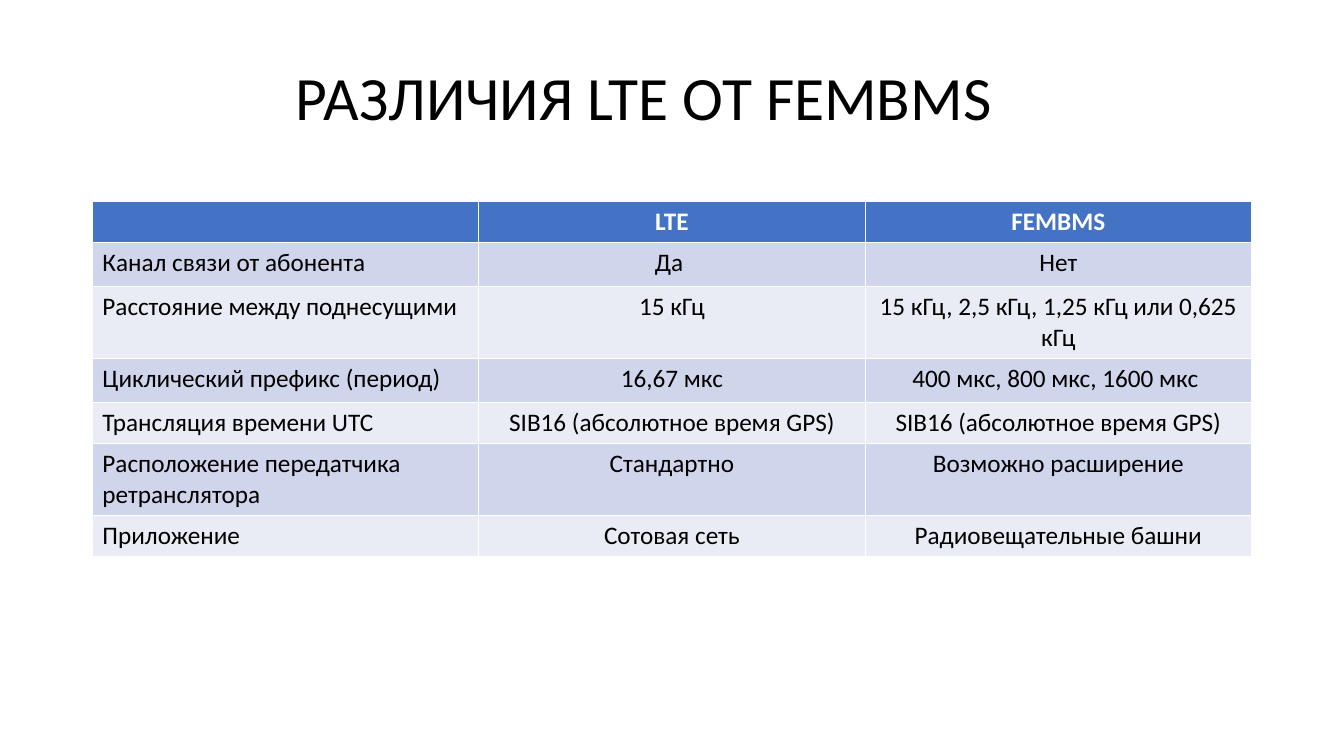
from pptx import Presentation
from pptx.dml.color import RGBColor
from pptx.enum import text
from pptx.util import Pt

TITLE = "РАЗЛИЧИЯ LTE ОТ FEMBMS"
ROWS = [
    ("", "LTE", "FEMBMS"),
    ("Канал связи от абонента", "Да ", "Нет"),
    ("Расстояние между поднесущими", "15 кГц",
     "15 кГц, 2,5 кГц, 1,25 кГц или 0,625 кГц"),
    ("Циклический префикс (период)", "16,67 мкс", "400 мкс, 800 мкс, 1600 мкс "),
    ("Трансляция времени UTC", "SIB16 (абсолютное время GPS)",
     "SIB16 (абсолютное время GPS)"),
    ("Расположение передатчика ретранслятора", "Стандартно",
     "Возможно расширение"),
    ("Приложение", "Сотовая сеть", "Радиовещательные башни"),
]
HEIGHTS = [29.2, 31.7, 29.2, 31.7, 29.2, 29.2, 29.2]
WIDTH = 828

FONT = "Calibri"
BLACK = RGBColor(0x00, 0x00, 0x00)
WHITE = RGBColor(0xFF, 0xFF, 0xFF)
BLUE = RGBColor(0x44, 0x72, 0xC4)
BANDS = (RGBColor(0xE9, 0xEB, 0xF5), RGBColor(0xCF, 0xD5, 0xEA))
LEFT, CENTER = text.PP_ALIGN.LEFT, text.PP_ALIGN.CENTER


def write(frame, words, size=18, color=BLACK, bold=False, align=CENTER):
    para = frame.paragraphs[0]
    para.alignment = align
    para.font.size = Pt(size)
    if not words:
        return
    run = para.add_run()
    run.text = words
    font = run.font
    font.name, font.size, font.bold = FONT, Pt(size), bold
    font.color.rgb = color


def add_title(slide):
    title = slide.shapes.title
    title.left, title.top = Pt(46), Pt(19.5)
    title.width, title.height = Pt(WIDTH), Pt(104.4)
    frame = title.text_frame
    frame.word_wrap = True
    frame.vertical_anchor = text.MSO_ANCHOR.MIDDLE
    write(frame, TITLE, size=44)
    frame.paragraphs[0].line_spacing = 0.9


def add_grid(slide):
    count = len(ROWS[0])
    grid = slide.shapes.add_table(len(ROWS), count, Pt(66), Pt(144),
                                  Pt(WIDTH), Pt(sum(HEIGHTS))).table
    for col in grid.columns:
        col.width = Pt(WIDTH / count)
    for r, (row, high) in enumerate(zip(ROWS, HEIGHTS)):
        grid.rows[r].height = Pt(high)
        head = r == 0
        for c, words in enumerate(row):
            cell = grid.cell(r, c)
            cell.fill.solid()
            cell.fill.fore_color.rgb = BLUE if head else BANDS[r % 2]
            write(cell.text_frame, words, color=WHITE if head else BLACK,
                  bold=head, align=CENTER if c or head else LEFT)


def main():
    deck = Presentation()
    deck.slide_width, deck.slide_height = Pt(960), Pt(540)
    slide = deck.slides.add_slide(deck.slide_layouts[5])
    add_title(slide)
    add_grid(slide)
    deck.save("out.pptx")


if __name__ == "__main__":
    main()
